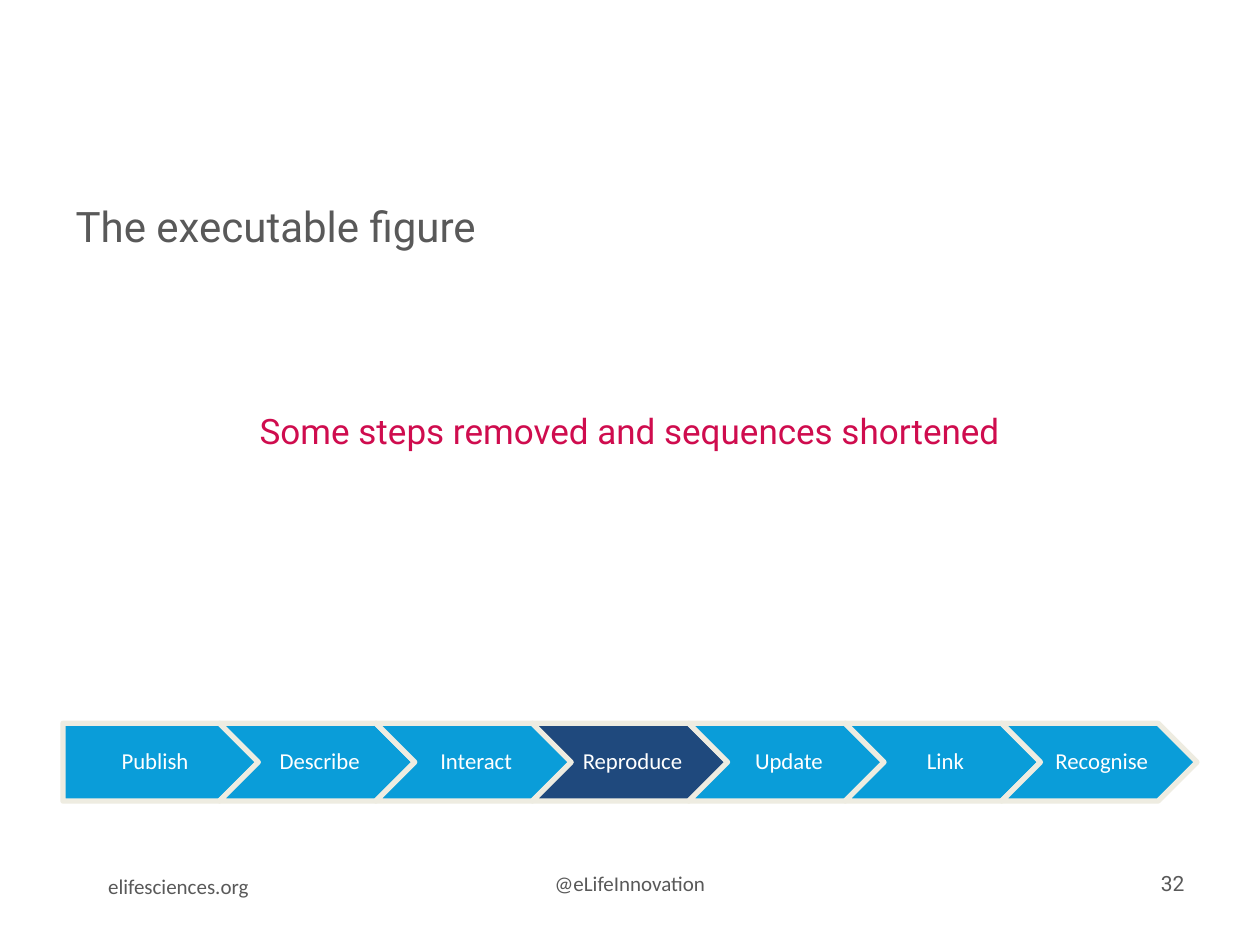
from pptx import Presentation
from pptx.dml.color import RGBColor
from pptx.enum.shapes import MSO_SHAPE as Shape
from pptx.enum.text import MSO_ANCHOR as Anchor, PP_ALIGN as Align
from pptx.util import Cm, Pt

COLORS = {
    "text": "595959",
    "accent": "CF0C4E",
    "step": "0A9DD9",
    "current": "1F497D",
    "outline": "EEECE1",
    "white": "FFFFFF",
}
MARGIN, CONTENT_WIDTH = 1.27, 22.86
STEPS = ["Publish", "Describe", "Interact", "Reproduce", "Update", "Link", "Recognise"]
CURRENT_STEP = "Reproduce"
STEP_TOP, STEP_WIDTH, STEP_HEIGHT = 14.58, 3.94, 1.57


class SlideBuilder:
    """Hold the style and the current slide, and add each kind of element."""

    def __init__(self, presentation):
        self.slide = presentation.slides.add_slide(presentation.slide_layouts[5])

    def color(self, name):
        return RGBColor.from_string(COLORS[name])

    def set_text(self, shape, text, size, font="Calibri", color="text",
                 align=Align.LEFT, anchor=Anchor.MIDDLE):
        frame = shape.text_frame
        frame.word_wrap = True
        frame.vertical_anchor = anchor
        frame.text = text
        paragraph = frame.paragraphs[0]
        paragraph.alignment = align
        paragraph.font.size = Pt(size)
        paragraph.font.name = font
        paragraph.font.color.rgb = self.color(color)
        return paragraph

    def title(self, text, left, top, width, height):
        title = self.slide.shapes.title
        title.left, title.top, title.width, title.height = map(Cm, (left, top, width, height))
        self.set_text(title, text, 24, "Roboto", anchor=Anchor.BOTTOM)

    def text(self, text, left, top, width, height, size=12, **style):
        box = self.slide.shapes.add_textbox(*map(Cm, (left, top, width, height)))
        return self.set_text(box, text, size, **style)

    def step(self, text, left, kind, fill, insets):
        shape = self.slide.shapes.add_shape(
            kind, Cm(left), Cm(STEP_TOP), Cm(STEP_WIDTH), Cm(STEP_HEIGHT))
        shape.shadow.inherit = False
        shape.fill.solid()
        shape.fill.fore_color.rgb = self.color(fill)
        shape.line.color.rgb = self.color("outline")
        shape.line.width = Pt(3)
        frame = shape.text_frame
        frame.margin_left, frame.margin_right = map(Cm, insets)
        frame.margin_top = frame.margin_bottom = Cm(0.1)
        paragraph = self.set_text(shape, text, 13, color="white", align=Align.CENTER)
        paragraph.line_spacing = 0.9

    def process(self, steps, current):
        pitch = (CONTENT_WIDTH - STEP_WIDTH) / (len(steps) - 1)
        for index, text in enumerate(steps):
            kind, insets = (Shape.CHEVRON, (0.15, 0.05)) if index else (Shape.PENTAGON, (0.2, 0.04))
            fill = "current" if text == current else "step"
            self.step(text, MARGIN + index * pitch, kind, fill, insets)


def main():
    presentation = Presentation()
    presentation.slide_width, presentation.slide_height = Cm(25.4), Cm(19.05)
    builder = SlideBuilder(presentation)
    builder.text("@eLifeInnovation", MARGIN, 17.3, CONTENT_WIDTH, 1.02, align=Align.CENTER)
    builder.title("The executable figure", MARGIN, 2.01, CONTENT_WIDTH, 3.18)
    builder.text("32", 18.21, 17.3, 5.92, 1.02, font="Roboto", align=Align.RIGHT)
    builder.text("elifesciences.org", 1.93, 17.35, 10.57, 1.02)
    builder.process(STEPS, CURRENT_STEP)
    notice = builder.text("Some steps removed and sequences shortened", MARGIN, 7.87,
                          CONTENT_WIDTH, 1.52, size=20, font="Roboto", color="accent",
                          align=Align.CENTER)
    notice.line_spacing = 1.1
    presentation.save("out.pptx")


if __name__ == "__main__":
    main()
